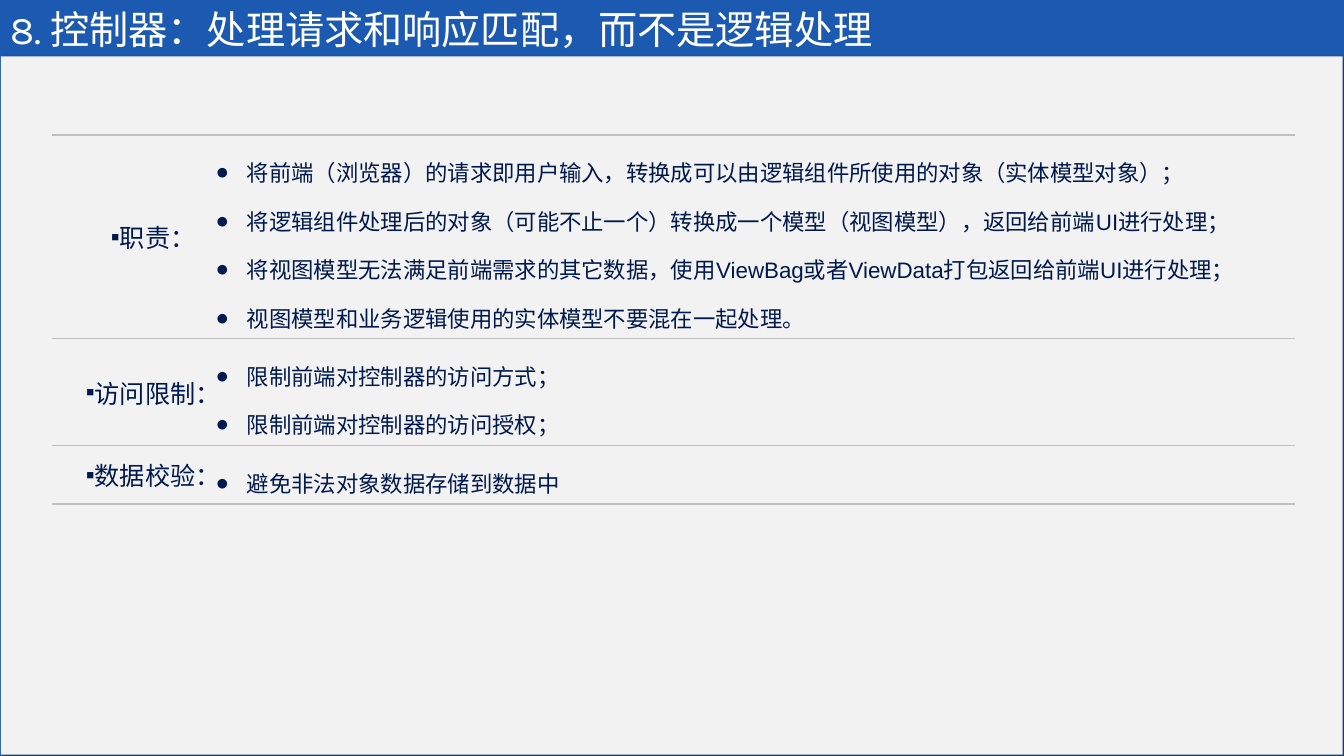
import pptx
import pptx.dml.color
import pptx.enum.shapes
import pptx.enum.text
import pptx.oxml
import pptx.oxml.ns
import pptx.util
from pptx.util import Cm

HUES = {"blue": "1B5AB0", "pale": "F2F2F2", "white": "FFFFFF",
        "navy": "00194C", "rule": "BFBFBF"}
NS = pptx.oxml.ns.nsdecls("a")

TITLE = "8. 控制器：处理请求和响应匹配，而不是逻辑处理"
ROWS = [
    ("职责：", 4.62, [
        "将前端（浏览器）的请求即用户输入，转换成可以由逻辑组件所使用的对象（实体模型对象）；",
        "将逻辑组件处理后的对象（可能不止一个）转换成一个模型（视图模型），返回给前端UI进行处理；",
        "将视图模型无法满足前端需求的其它数据，使用ViewBag或者ViewData打包返回给前端UI进行处理；",
        "视图模型和业务逻辑使用的实体模型不要混在一起处理。"]),
    ("访问限制：", 2.54, [
        "限制前端对控制器的访问方式；",
        "限制前端对控制器的访问授权；"]),
    ("数据校验：", 1.47, ["避免非法对象数据存储到数据中"]),
]


def color(name):
    return pptx.dml.color.RGBColor.from_string(HUES[name])


def style(para, face, size, hue):
    for run in para.runs:
        run.font.name = face
        run.font.size = pptx.util.Pt(size)
        run.font.color.rgb = color(hue)


def bullet(para, mark, face, indent=0):
    props = para._p.get_or_add_pPr()
    props.set("marL", str(Cm(indent)))
    props.set("indent", str(-Cm(indent)))
    for xml in (f'<a:buFont {NS} typeface="{face}"/>',
                f'<a:buChar {NS} char="{mark}"/>'):
        props.append(pptx.oxml.parse_xml(xml))


def border(cell):
    # Rules above and below, nothing at the sides
    rule = f'<a:solidFill><a:srgbClr val="{HUES["rule"]}"/></a:solidFill>'
    sides = {"lnL": "<a:noFill/>", "lnR": "<a:noFill/>",
             "lnT": rule, "lnB": rule}
    props = cell._tc.get_or_add_tcPr()
    for spot, (tag, fill) in enumerate(sides.items()):
        props.insert(spot, pptx.oxml.parse_xml(
            f'<a:{tag} {NS} w="{pptx.util.Pt(1)}">{fill}</a:{tag}>'))


def fill_cell(cell, lines):
    cell.text_frame.text = "\n".join(lines)
    cell.vertical_anchor = pptx.enum.text.MSO_ANCHOR.MIDDLE
    cell.fill.background()
    border(cell)
    return cell.text_frame.paragraphs


def add_panel(slide):
    panel = slide.shapes.add_shape(
        pptx.enum.shapes.MSO_SHAPE.RECTANGLE,
        Cm(0.02), Cm(1.42), Cm(33.82), Cm(17.6))
    panel.fill.solid()
    panel.fill.fore_color.rgb = color("pale")
    panel.line.fill.background()
    panel.shadow.inherit = False
    glow = panel._element.spPr.find(pptx.oxml.ns.qn("a:effectLst"))
    glow.append(pptx.oxml.parse_xml(
        f'<a:outerShdw {NS} blurRad="{pptx.util.Pt(4)}" '
        f'dist="{pptx.util.Pt(3)}" dir="2700000" algn="tl" '
        'rotWithShape="0"><a:srgbClr val="000000">'
        '<a:alpha val="40000"/></a:srgbClr></a:outerShdw>'))
    slide.shapes._spTree.insert(2, panel._element)


def set_title(slide):
    title = slide.shapes.title
    title.left, title.top = Cm(0), Cm(0.03)
    title.width, title.height = Cm(33.87), Cm(1.37)
    frame = title.text_frame
    frame.text = TITLE
    frame.vertical_anchor = pptx.enum.text.MSO_ANCHOR.MIDDLE
    para = frame.paragraphs[0]
    para.alignment = pptx.enum.text.PP_ALIGN.LEFT
    style(para, "Karla", 28, "white")


def add_grid(slide):
    high = sum(row[1] for row in ROWS)
    table = slide.shapes.add_table(
        len(ROWS), 2, Cm(1.32), Cm(3.4), Cm(31.32), Cm(high)).table
    table.first_row = table.horz_banding = False
    table.columns[0].width = Cm(3.86)
    table.columns[1].width = Cm(27.46)
    for num, (label, tall, lines) in enumerate(ROWS):
        table.rows[num].height = Cm(tall)
        # Label on the left
        for para in fill_cell(table.cell(num, 0), [label]):
            para.alignment = pptx.enum.text.PP_ALIGN.RIGHT
            bullet(para, "▪", "Arial")
            style(para, "Arial", 18, "navy")
        # Points on the right
        for para in fill_cell(table.cell(num, 1), lines):
            para.line_spacing = 1.5
            bullet(para, "●", "Arial", 0.79)
            style(para, "Arial", 16, "navy")


def main():
    deck = pptx.Presentation()
    deck.slide_width, deck.slide_height = Cm(33.87), Cm(19.05)
    slide = deck.slides.add_slide(deck.slide_layouts[5])
    slide.background.fill.solid()
    slide.background.fill.fore_color.rgb = color("blue")
    add_panel(slide)
    set_title(slide)
    add_grid(slide)
    deck.save("out.pptx")


if __name__ == "__main__":
    main()
